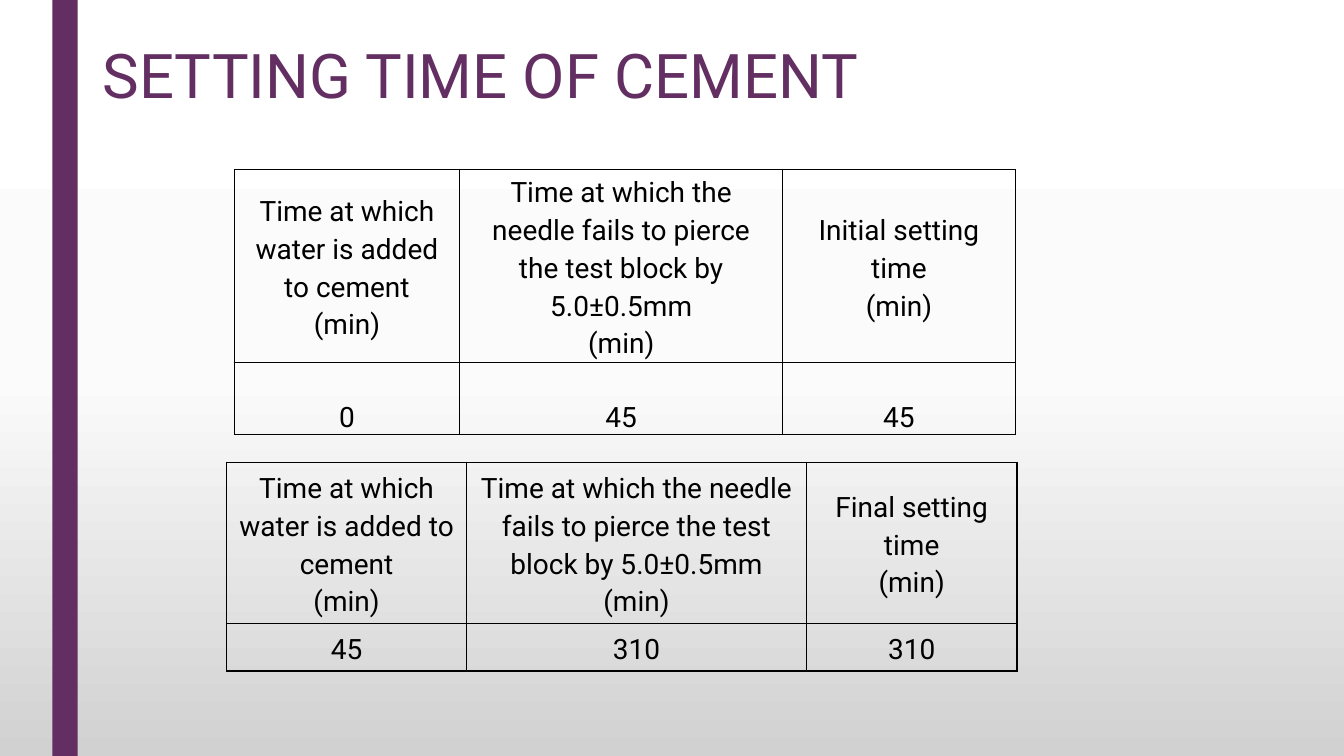
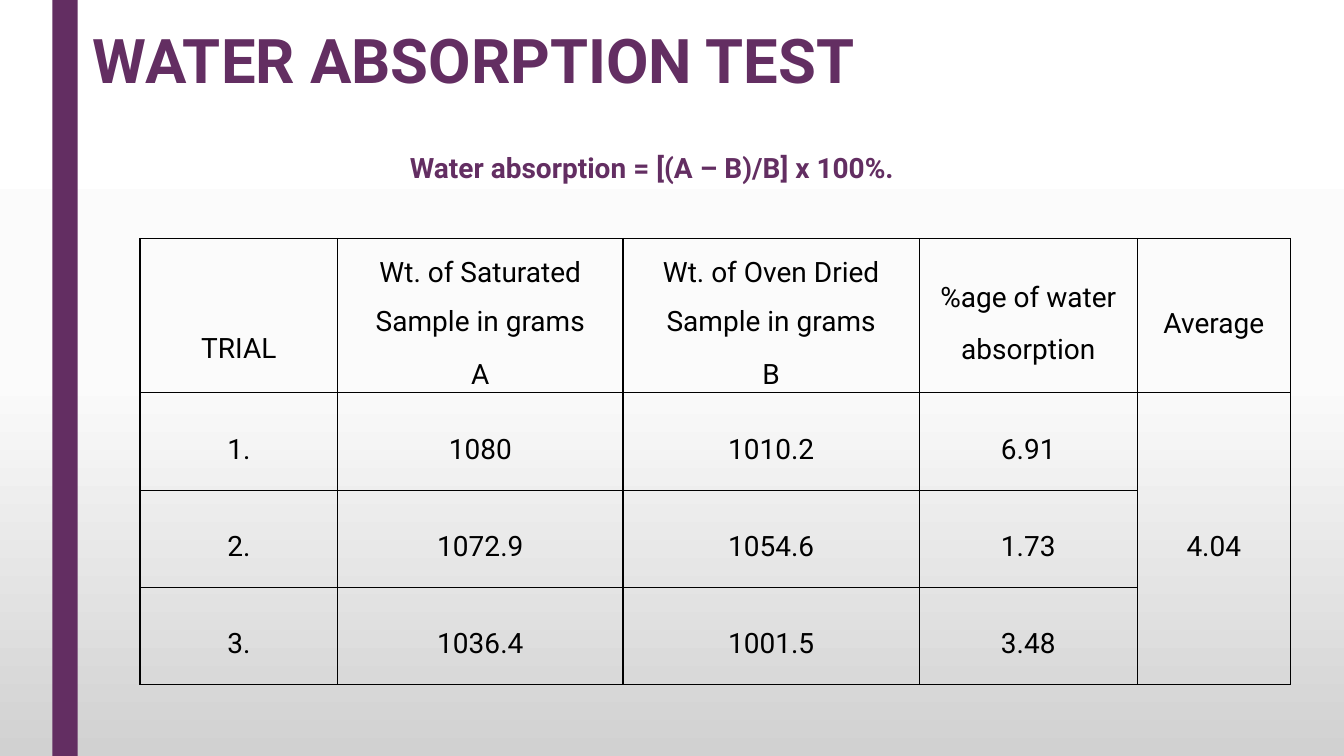
"""Build two slides of cement and brick test results."""
from copy import deepcopy
from dataclasses import dataclass, field

from lxml.etree import SubElement
from pptx import Presentation
from pptx.dml.color import RGBColor
from pptx.enum.shapes import MSO_SHAPE
from pptx.enum.text import MSO_ANCHOR, PP_ALIGN
from pptx.oxml.ns import qn
from pptx.util import Cm, Pt

PURPLE, BLACK = "632E62", "000000"
BACKDROP = [(0, "FFFFFF"), (0.5, "FBFBFB"), (1, "D1D1D1")]
SLIDE_WIDTH, SLIDE_HEIGHT = 33.87, 19.05


@dataclass(frozen=True)
class Line:
    text: str
    left: float
    top: float
    width: float
    height: float
    size: int
    bold: bool = True
    spacing: float = 1


@dataclass(frozen=True)
class Grid:
    left: float
    top: float
    columns: list[float]
    heights: list[float]
    rows: list[list[str]]
    spacing: float = 1.15
    after: float = 0
    inset: float = 0.25
    merges: list[tuple[int, int, int, int]] = field(default_factory=list)
    low_cells: list[tuple[int, int]] = field(default_factory=list)
    low_inset: float = 0
    low_anchor: MSO_ANCHOR = MSO_ANCHOR.MIDDLE


def color(value: str) -> RGBColor:
    return RGBColor.from_string(value)


def apply(target, values: dict) -> None:
    for name, value in values.items():
        setattr(target, name, value)


def style_font(font, size: int, shade: str, bold: bool = False) -> None:
    apply(font, {"name": "Roboto", "size": Pt(size), "bold": bold})
    font.color.rgb = color(shade)


def set_backdrop(master) -> None:
    fill = master.background.fill
    fill.gradient()
    fill.gradient_angle = 270
    stop_list = master.element.find(".//" + qn("a:gsLst"))
    stop_list.insert(1, deepcopy(stop_list[0]))
    for stop, (position, shade) in zip(fill.gradient_stops, BACKDROP):
        stop.position = position
        stop.color.rgb = color(shade)


def add_band(slide) -> None:
    band = slide.shapes.add_shape(
        MSO_SHAPE.RECTANGLE, Cm(1.32), 0, Cm(0.64), Cm(SLIDE_HEIGHT))
    band.shadow.inherit = False
    band.fill.solid()
    band.fill.fore_color.rgb = color(PURPLE)
    band.line.fill.background()


def add_line(slide, line: Line) -> None:
    box = slide.shapes.add_textbox(
        Cm(line.left), Cm(line.top), Cm(line.width), Cm(line.height))
    box.text_frame.word_wrap = True
    paragraph = box.text_frame.paragraphs[0]
    paragraph.text = line.text
    paragraph.line_spacing = line.spacing
    style_font(paragraph.runs[0].font, line.size, PURPLE, line.bold)


def add_borders(cell) -> None:
    properties = cell._tc.get_or_add_tcPr()
    for position, side in enumerate(("lnL", "lnR", "lnT", "lnB")):
        border = SubElement(properties, qn(f"a:{side}"), w=str(Pt(1)))
        fill = SubElement(border, qn("a:solidFill"))
        SubElement(fill, qn("a:srgbClr"), val=BLACK)
        properties.insert(position, border)


def fill_cell(cell, text: str, grid: Grid, low: bool) -> None:
    cell.fill.background()
    add_borders(cell)
    apply(cell, {
        "margin_left": Cm(grid.inset), "margin_right": Cm(grid.inset),
        "margin_top": Cm(grid.low_inset if low else 0), "margin_bottom": 0,
        "vertical_anchor": grid.low_anchor if low else MSO_ANCHOR.MIDDLE,
    })
    cell.text = text
    for paragraph in cell.text_frame.paragraphs:
        apply(paragraph, {"alignment": PP_ALIGN.CENTER,
                          "line_spacing": grid.spacing,
                          "space_after": Pt(grid.after)})
        style_font(paragraph.font, 20, BLACK)
        for run in paragraph.runs:
            style_font(run.font, 20, BLACK)


def add_grid(slide, grid: Grid) -> None:
    table = slide.shapes.add_table(
        len(grid.rows), len(grid.columns), Cm(grid.left), Cm(grid.top),
        Cm(sum(grid.columns)), Cm(sum(grid.heights))).table
    apply(table, {"first_row": False, "horz_banding": False})
    for column, width in zip(table.columns, grid.columns):
        column.width = Cm(width)
    for row, height in zip(table.rows, grid.heights):
        row.height = Cm(height)
    for r, texts in enumerate(grid.rows):
        for c, text in enumerate(texts):
            fill_cell(table.cell(r, c), text, grid, (r, c) in grid.low_cells)
    for top, left, bottom, right in grid.merges:
        table.cell(top, left).merge(table.cell(bottom, right))


def setting_rows(stage: str, start: str, end: str) -> list[list[str]]:
    return [
        ["Time at which water is added to cement\n(min)",
         "Time at which the needle fails to pierce the test block by 5.0±0.5mm\n(min)",
         f"{stage} setting time\n(min)"],
        [start, end, end],
    ]


SLIDES = [
    [
        Line("SETTING TIME OF CEMENT", 2.34, 1.02, 29.2, 3.68, 44, False, 0.89),
        Grid(5.9, 4.27, [5.69, 8.13, 5.87], [4.8, 1.8],
             setting_rows("Initial", "0", "45"),
             low_cells=[(1, 0), (1, 1), (1, 2)], low_anchor=MSO_ANCHOR.BOTTOM),
        Grid(5.71, 11.65, [6.05, 8.56, 5.31], [4.07, 1.19],
             setting_rows("Final", "45", "310")),
    ],
    [
        Line("WATER ABSORPTION TEST", 2.08, 0.43, 21.08, 2.13, 44),
        Line("Water absorption = [(A – B)/B] x 100%.", 10.08, 3.66, 16.94, 1.12, 20),
        Grid(3.53, 6.01, [4.98, 7.19, 7.47, 5.49, 3.86], [3.83, 2.46, 2.45, 2.45],
             [["TRIAL", "Wt. of Saturated Sample in grams\nA",
               "Wt. of Oven Dried Sample in grams\nB",
               "%age of water\nabsorption", "Average"],
              ["1.", "1080", "1010.2", "6.91", "4.04"],
              ["2.", "1072.9", "1054.6", "1.73", ""],
              ["3.", "1036.4", "1001.5", "3.48", ""]],
             spacing=1.5, after=2, inset=0.03, merges=[(1, 4, 3, 4)],
             low_cells=[(0, 0)], low_inset=1.27),
    ],
]


def main() -> None:
    deck = Presentation()
    apply(deck, {"slide_width": Cm(SLIDE_WIDTH), "slide_height": Cm(SLIDE_HEIGHT)})
    set_backdrop(deck.slide_master)
    for parts in SLIDES:
        slide = deck.slides.add_slide(deck.slide_layouts[6])
        add_band(slide)
        for part in parts:
            if isinstance(part, Grid):
                add_grid(slide, part)
            else:
                add_line(slide, part)
    deck.save("out.pptx")


if __name__ == "__main__":
    main()
